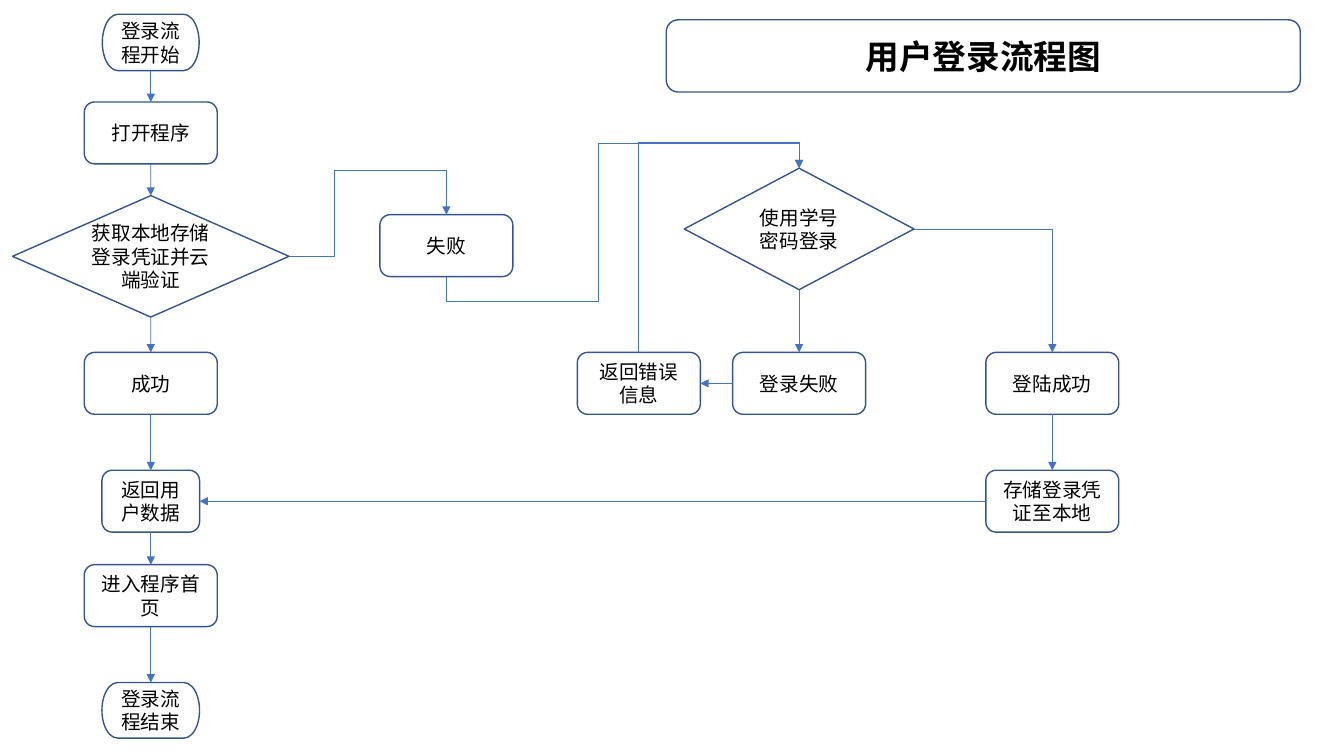
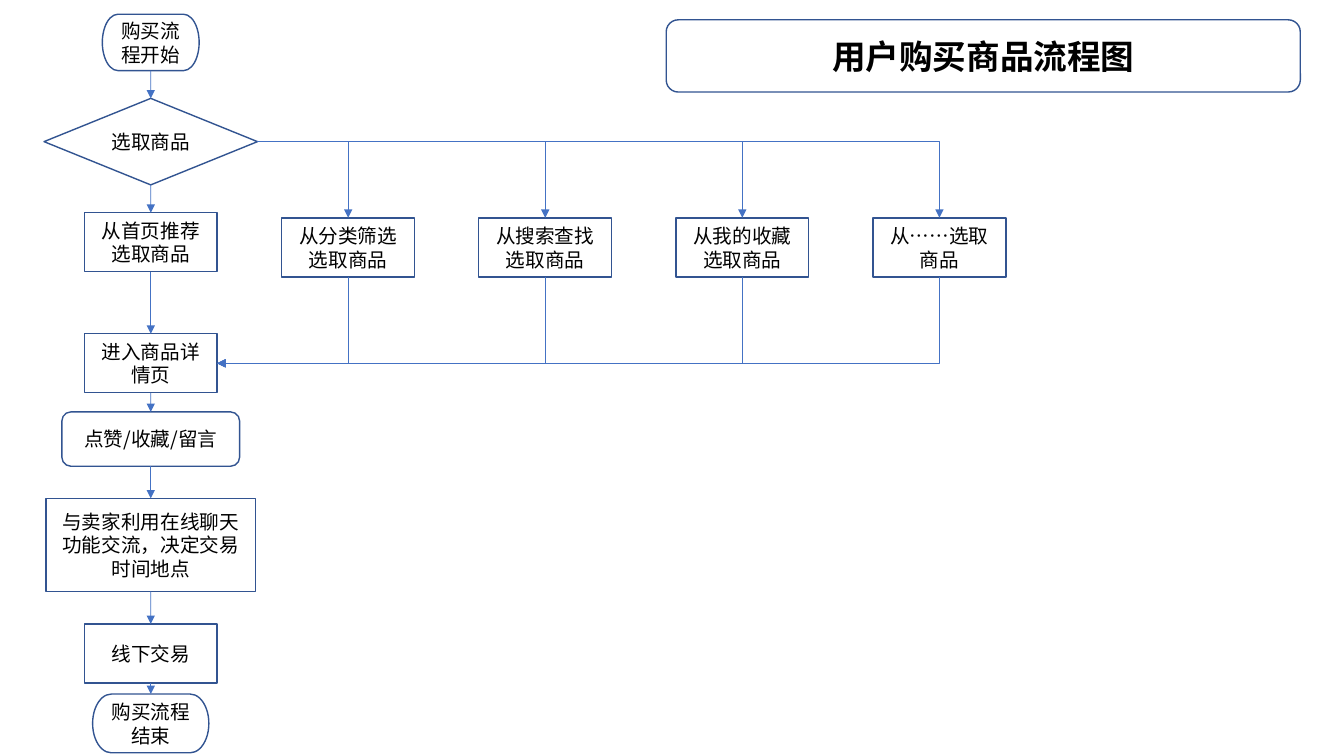
from typing import NamedTuple

from lxml import etree
from pptx import Presentation
from pptx.dml import color as colors
from pptx.enum import shapes as kinds, text as texts
from pptx.oxml import ns
from pptx.util import Cm, Pt

FONT = "Noto Sans CJK SC"
INK, OUTLINE, ARROW = "000000", "325491", "4472C4"
TERMINATOR = kinds.MSO_SHAPE.FLOWCHART_TERMINATOR
PROCESS = kinds.MSO_SHAPE.FLOWCHART_ALTERNATE_PROCESS
DECISION = kinds.MSO_SHAPE.FLOWCHART_DECISION
RECTANGLE = kinds.MSO_SHAPE.RECTANGLE
TOP, LEFT, BOTTOM, RIGHT = range(4)
STEP_WIDTH, STEP_HEIGHT, CARD_HEIGHT = 3.35, 1.56, 1.49


class Box(NamedTuple):
    """A region in centimetres."""
    left: float
    top: float
    width: float
    height: float

    def lengths(self):
        """Return the four sides as slide lengths."""
        return [Cm(value) for value in self]


TITLE_BOX = Box(16.79, 0.5, 15.98, 1.82)
COLUMN_BOX = Box(0.3, 0.36, 7, 18.6)


def rgb(code):
    """Turn a hex string into a colour."""
    return colors.RGBColor.from_string(code)


def write_text(shape, content, size=14, bold=False, color=INK):
    """Write one centred paragraph into a shape."""
    frame = shape.text_frame
    frame.word_wrap = True
    frame.auto_size = texts.MSO_AUTO_SIZE.NONE
    frame.vertical_anchor = texts.MSO_ANCHOR.MIDDLE
    paragraph = frame.paragraphs[0]
    paragraph.alignment = texts.PP_ALIGN.CENTER
    run = paragraph.add_run()
    run.text = content
    run.font.size, run.font.bold, run.font.name = Pt(size), bold, FONT
    run.font.color.rgb = rgb(color)
    properties = run.font._element
    etree.SubElement(properties, ns.qn("a:ea"), typeface=FONT)


def add_outline(slide, kind, box):
    """Add an unfilled outlined shape."""
    shape = slide.shapes.add_shape(kind, *box.lengths())
    shape.shadow.inherit = False
    shape.fill.background()
    shape.line.color.rgb = rgb(OUTLINE)
    shape.line.width = Pt(1)
    return shape


def add_node(slide, content, center, top, kind=PROCESS, width=STEP_WIDTH, height=STEP_HEIGHT):
    """Add a labelled flow step centred on a vertical axis."""
    shape = add_outline(slide, kind, Box(center - width / 2, top, width, height))
    write_text(shape, content)
    return shape


def add_arrow(slide, start, end, sites=(BOTTOM, TOP), kind=kinds.MSO_CONNECTOR.STRAIGHT):
    """Join two steps with an arrow."""
    connector = slide.shapes.add_connector(kind, 0, 0, 0, 0)
    connector.begin_connect(start, sites[0])
    connector.end_connect(end, sites[1])
    connector.line.color.rgb = rgb(ARROW)
    connector.line.width = Pt(0.5)
    properties = connector._element.spPr
    etree.SubElement(properties.find(ns.qn("a:ln")), ns.qn("a:tailEnd"), type="triangle")
    etree.SubElement(properties, ns.qn("a:effectLst"))
    return connector


def add_elbow(slide, start, end, sites, bends=()):
    """Join two steps with a bent arrow, its middle bends given as fractions."""
    connector = add_arrow(slide, start, end, sites, kinds.MSO_CONNECTOR.ELBOW)
    properties = connector._element.spPr
    if sites[0] in (TOP, BOTTOM):
        across = connector.end_x - connector.begin_x
        down = connector.end_y - connector.begin_y
        middle_x = (connector.begin_x + connector.end_x) // 2
        middle_y = (connector.begin_y + connector.end_y) // 2
        connector.width, connector.height = abs(down), abs(across)
        connector.left = middle_x - abs(down) // 2
        connector.top = middle_y - abs(across) // 2
        frame = properties.find(ns.qn("a:xfrm"))
        frame.set("rot", "5400000")
        frame.set("flipH", str(int(down < 0)))
        frame.set("flipV", str(int(across > 0)))
    geometry = properties.find(ns.qn("a:prstGeom"))
    geometry.set("prst", f"bentConnector{len(bends) + 2}")
    guides = geometry.find(ns.qn("a:avLst"))
    for number, bend in enumerate(bends, 1):
        etree.SubElement(guides, ns.qn("a:gd"), name=f"adj{number}",
                         fmla=f"val {round(bend * 100000)}")


def add_title(slide, content, box):
    """Place the slide title in a rounded frame."""
    add_outline(slide, PROCESS, box)
    title = slide.shapes.title
    title.left, title.top, title.width, title.height = box.lengths()
    write_text(title, content, size=24, bold=True)


def add_column(slide, box, steps):
    """Stack steps down the middle of a box and chain them with arrows."""
    center = box.left + box.width / 2
    nodes = [add_node(slide, content, center, box.top + offset, *form)
             for content, offset, *form in steps]
    for start, end in zip(nodes, nodes[1:]):
        add_arrow(slide, start, end)
    return nodes


def add_password_login(slide, box, verify, user_data):
    """Add the fallback login steps and tie them to the main column."""
    def place(content, across, down, *form):
        return add_node(slide, content, box.left + across, box.top + down, *form)

    failure = place("失败", 1.67, 1.17)
    login = place("使用学号密码登录", 10.56, 0, DECISION, 5.79, 3.06)
    login_failure = place("登录失败", 10.56, 4.64)
    error = place("返回错误信息", 6.52, 4.64, PROCESS, 3.1)
    success = place("登陆成功", 16.94, 4.64)
    storage = place("存储登录凭证至本地", 16.94, 7.61)
    add_arrow(slide, login, login_failure)
    add_arrow(slide, login_failure, error, (LEFT, RIGHT))
    add_arrow(slide, success, storage)
    add_arrow(slide, storage, user_data, (LEFT, RIGHT))
    add_elbow(slide, verify, failure, (RIGHT, TOP), (0.29, 2.06))
    add_elbow(slide, login, success, (RIGHT, TOP))
    add_elbow(slide, error, login, (TOP, TOP), (1.14,))
    add_elbow(slide, failure, login, (BOTTOM, TOP), (-0.23, 0.43, 1.23))


def add_sources(slide, box, labels, select, detail):
    """Spread the other ways to pick goods evenly across a box."""
    pitch = (box.width - STEP_WIDTH) / (len(labels) - 1)
    for index, label in enumerate(labels):
        center = box.left + STEP_WIDTH / 2 + index * pitch
        source = add_node(slide, label, center, box.top, RECTANGLE, STEP_WIDTH, box.height)
        add_elbow(slide, select, source, (RIGHT, TOP))
        add_elbow(slide, source, detail, (BOTTOM, RIGHT))


def add_flow_slide(presentation, title):
    """Add a titled slide."""
    slide = presentation.slides.add_slide(presentation.slide_layouts[5])
    add_title(slide, title, TITLE_BOX)
    return slide


def build_login(presentation):
    """Build the login flow slide."""
    slide = add_flow_slide(presentation, "用户登录流程图")
    nodes = add_column(slide, COLUMN_BOX, [
        ("登录流程开始", 0, TERMINATOR, 2.44, 1.42),
        ("打开程序", 2.21),
        ("获取本地存储登录凭证并云端验证", 4.57, DECISION, 6.97, 3.06),
        ("成功", 8.52),
        ("返回用户数据", 11.49, PROCESS, 2.46),
        ("进入程序首页", 13.87),
        ("登录流程结束", 16.84, TERMINATOR, 2.46, 1.4),
    ])
    add_password_login(slide, Box(9.58, 4.24, 18.62, 9.17), nodes[2], nodes[4])


def build_purchase(presentation):
    """Build the purchase flow slide."""
    slide = add_flow_slide(presentation, "用户购买商品流程图")
    card = (RECTANGLE, STEP_WIDTH, CARD_HEIGHT)
    nodes = add_column(slide, COLUMN_BOX, [
        ("购买流程开始", 0, TERMINATOR, 2.44, 1.42),
        ("选取商品", 2.12, DECISION, 5.38, 2.18),
        ("从首页推荐选取商品", 5, *card),
        ("进入商品详情页", 8.05, *card),
        ("点赞/收藏/留言", 10.02, PROCESS, 4.48, 1.37),
        ("与卖家利用在线聊天功能交流，决定交易时间地点", 12.2, RECTANGLE, 5.27, 2.34),
        ("线下交易", 15.36, *card),
        ("购买流程结束", 17.13, TERMINATOR, 2.93, 1.48),
    ])
    labels = ["从分类筛选选取商品", "从搜索查找选取商品", "从我的收藏选取商品", "从……选取商品"]
    add_sources(slide, Box(7.1, 5.49, 18.25, CARD_HEIGHT), labels, nodes[1], nodes[3])


def main():
    """Build and save the presentation."""
    presentation = Presentation()
    presentation.slide_width, presentation.slide_height = Cm(33.87), Cm(19.05)
    build_login(presentation)
    build_purchase(presentation)
    presentation.save("out.pptx")


if __name__ == "__main__":
    main()
